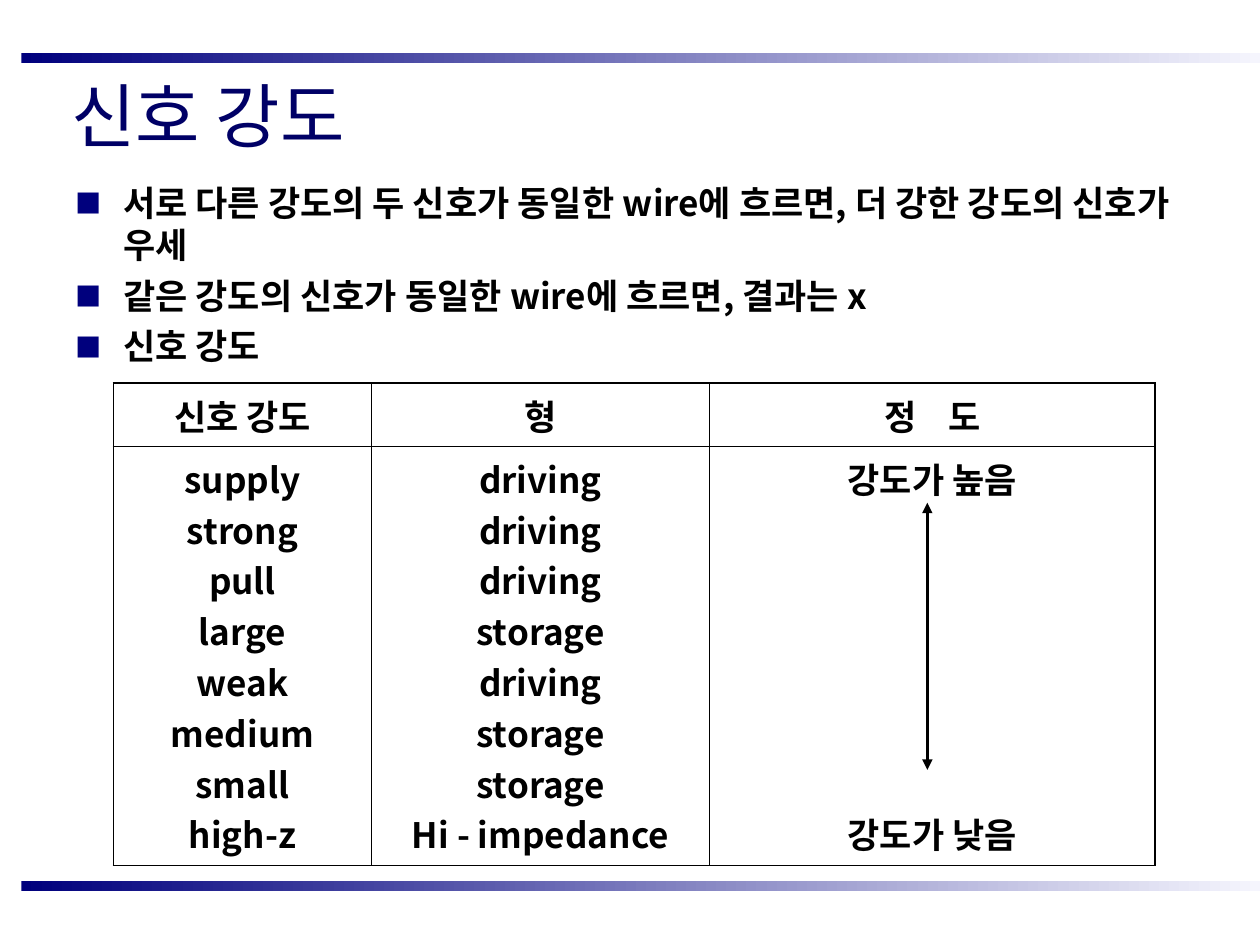
from lxml.etree import SubElement
from pptx import Presentation
from pptx.dml.color import RGBColor
from pptx.enum.shapes import MSO_CONNECTOR, MSO_SHAPE
from pptx.enum.text import MSO_ANCHOR, PP_ALIGN
from pptx.oxml import parse_xml
from pptx.oxml.ns import nsdecls, qn
from pptx.util import Inches, Pt

FONT = "Noto Sans CJK KR"
COLORS = {"navy": "00007D", "pale": "F5F5FD", "title": "000066", "ink": "000000"}
THICK, THIN = 1.08, 0.45
POINTS = [
    "서로 다른 강도의 두 신호가 동일한 wire에 흐르면, 더 강한 강도의 신호가 우세",
    "같은 강도의 신호가 동일한 wire에 흐르면, 결과는 x",
    "신호 강도",
]
LEVELS = [
    ("supply", "driving"), ("strong", "driving"), ("pull", "driving"),
    ("large", "storage"), ("weak", "driving"), ("medium", "storage"),
    ("small", "storage"), ("high-z", "Hi - impedance"),
]
PITCH = 28.96  # points from one 20 pt line to the next


def rgb(name):
    return RGBColor.from_string(COLORS[name])


def add_run(para, text, size=20, color="ink", bold=True):
    run = para.add_run()
    run.text = text
    run.font.size = Pt(size)
    run.font.bold = bold
    run.font.name = FONT
    run.font.color.rgb = rgb(color)
    SubElement(run.font._element, qn("a:ea")).set("typeface", FONT)
    return run


def fill_lines(frame, lines):
    """Write one paragraph per line and return the paragraphs."""
    paras = []
    for i, line in enumerate(lines):
        para = frame.add_paragraph() if i else frame.paragraphs[0]
        add_run(para, line)
        paras.append(para)
    return paras


def add_frame(slide, left, top, width, height):
    box = slide.shapes.add_textbox(*map(Inches, (left, top, width, height)))
    box.text_frame.word_wrap = True
    return box.text_frame


def add_bar(slide, left, top, width, height):
    bar = slide.shapes.add_shape(
        MSO_SHAPE.RECTANGLE, *map(Inches, (left, top, width, height)))
    bar.shadow.inherit = False
    bar.line.fill.background()
    bar.fill.gradient()
    bar.fill.gradient_angle = 0
    for stop, name in zip(bar.fill.gradient_stops, ("navy", "pale")):
        stop.color.rgb = rgb(name)


def add_title(slide, left, top, width, height):
    frame = add_frame(slide, left, top, width, height)
    frame.vertical_anchor = MSO_ANCHOR.MIDDLE
    add_run(frame.paragraphs[0], "신호 강도", 40, "title", False)


def add_points(slide, left, top, width, height):
    frame = add_frame(slide, left, top, width, height)
    frame.margin_top = 0
    for para in fill_lines(frame, POINTS):
        para.space_before = Pt(5)
        para.line_spacing = Pt(24)
        props = para._p.get_or_add_pPr()
        props.set("marL", str(Inches(0.38)))
        props.set("indent", str(-Inches(0.38)))
        color = SubElement(props, qn("a:buClr"))
        SubElement(color, qn("a:srgbClr")).set("val", COLORS["navy"])
        SubElement(props, qn("a:buSzPct")).set("val", "75000")
        SubElement(props, qn("a:buFont")).set("typeface", FONT)
        SubElement(props, qn("a:buChar")).set("char", "■")


def set_edges(cell, widths):
    """Border a cell with widths in left, right, top, bottom order."""
    props = cell._tc.get_or_add_tcPr()
    for i, (side, width) in enumerate(zip("LRTB", widths)):
        props.insert(i, parse_xml(
            f'<a:ln{side} {nsdecls("a")} w="{Pt(width)}"><a:solidFill>'
            f'<a:srgbClr val="{COLORS["ink"]}"/></a:solidFill></a:ln{side}>'))


def add_grid(slide, left, top, width, height):
    table = slide.shapes.add_table(
        2, 3, *map(Inches, (left, top, width, height))).table
    table.first_row = table.horz_banding = False
    for col, share in zip(table.columns, (2.05, 2.68, 3.54)):
        col.width = Inches(width * share / 8.27)
    table.rows[0].height = Inches(0.5)
    table.rows[1].height = Inches(height - 0.5)

    names, kinds = zip(*LEVELS)
    texts = [[["신호 강도"], ["형"], []],
             [names, kinds, ["강도가 높음", "강도가 낮음"]]]
    for r, row in enumerate(texts):
        for c, lines in enumerate(row):
            cell = table.cell(r, c)
            cell.fill.background()
            cell.vertical_anchor = MSO_ANCHOR.MIDDLE
            fill_lines(cell.text_frame, lines)
            set_edges(cell, (THIN if c else THICK, THICK if c == 2 else THIN,
                             THIN if r else THICK, THICK if r else THIN))

    head = table.cell(0, 2).text_frame.paragraphs[0]
    add_run(head, "정")
    add_run(head, " ").font._element.set("spc", "1350")
    add_run(head, "도")
    low = table.cell(1, 2).text_frame.paragraphs[1]
    low.space_before = Pt(PITCH * (len(LEVELS) - 2))
    for cell in table.iter_cells():
        for para in cell.text_frame.paragraphs:
            para.alignment = PP_ALIGN.CENTER


def add_scale(slide, x, top, mid, bottom):
    """Draw arrows up and down from a shared middle."""
    group = slide.shapes.add_group_shape()
    for end in (bottom, top):
        arrow = group.shapes.add_connector(
            MSO_CONNECTOR.STRAIGHT, *map(Inches, (x, mid, x, end)))
        arrow.line.color.rgb = rgb("ink")
        arrow.line.width = Pt(1.5)
        tip = SubElement(arrow.line._get_or_add_ln(), qn("a:tailEnd"))
        tip.set("type", "triangle")
        SubElement(arrow._element.spPr, qn("a:effectLst"))


def main():
    deck = Presentation()
    deck.slide_width, deck.slide_height = Inches(10), Inches(7.5)
    slide = deck.slides.add_slide(deck.slide_layouts[6])
    for top in (0.42, 6.99):
        add_bar(slide, 0.17, top, 9.83, 0.08)
    add_title(slide, 0.47, 0.48, 9.19, 0.86)
    add_points(slide, 0.5, 1.44, 8.99, 5.42)
    add_grid(slide, 0.9, 3.04, 8.27, 3.83)
    add_scale(slide, 7.36, 3.99, 5.25, 6.11)
    deck.save("out.pptx")


if __name__ == "__main__":
    main()
